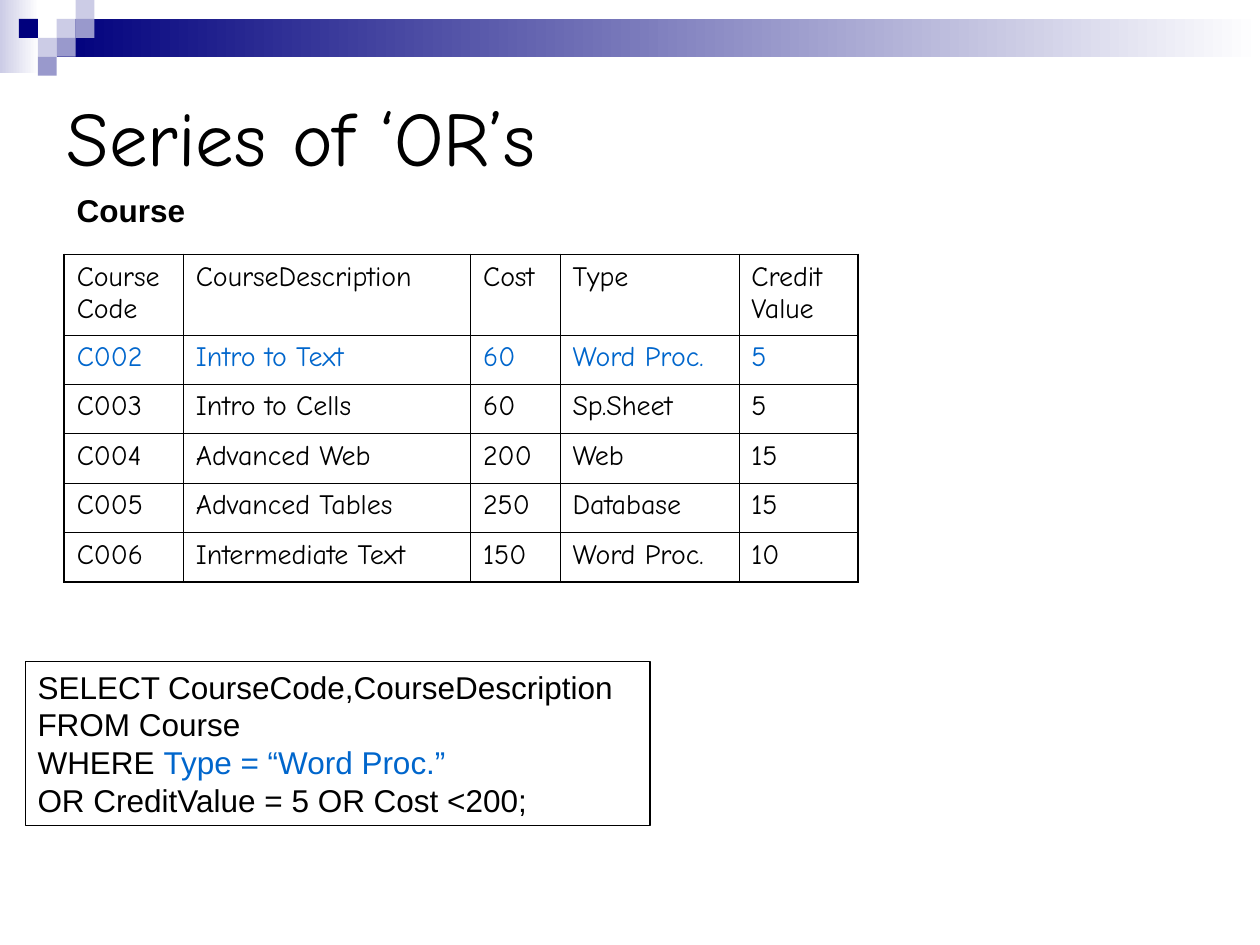
from dataclasses import dataclass

from lxml.etree import SubElement
from pptx import Presentation
from pptx.dml.color import RGBColor
from pptx.enum.shapes import MSO_SHAPE
from pptx.enum.text import MSO_ANCHOR, MSO_AUTO_SIZE, PP_ALIGN
from pptx.oxml.ns import qn
from pptx.util import Inches, Pt


@dataclass(frozen=True)
class Theme:
    """Colours, fonts, type sizes and line widths of the deck."""
    ink: str = "000000"
    accent: str = "0066CC"
    paper: str = "FFFFFF"
    navy: str = "00007D"
    lilac: str = "CCCCE6"
    violet: str = "9999CC"
    display: str = "Comic Neue"
    body: str = "Arial"
    title_size: float = 44
    cell_size: float = 16
    body_size: float = 18
    thin: float = 0.45
    frame: float = 0.75
    thick: float = 1.08


@dataclass(frozen=True)
class Box:
    """A region measured in columns and rows of the page grid."""
    left: float
    top: float
    width: float
    height: float

    def lengths(self):
        """Return left, top, width and height as slide lengths."""
        return [grid(value) for value in (self.left, self.top, self.width, self.height)]


THEME = Theme()
COLUMNS, ROWS = 100, 75
TILE = 1.5
TILES = [
    (3, 1, THEME.lilac), (4, 0, THEME.lilac), (4, 1, THEME.violet),
    (2, 2, THEME.lilac), (1, 1, THEME.navy), (3, 2, THEME.violet),
    (2, 3, THEME.violet),
]
COURSE_COLUMNS = [9.45, 22.8, 7.1, 14.2, 9.45]
COURSE_ROWS = [6.4] + [3.93] * 5
COURSES = [
    ["Course Code", "CourseDescription", "Cost", "Type", "Credit Value"],
    ["C002", "Intro to Text", "60", "Word Proc.", "5"],
    ["C003", "Intro to Cells", "60", "Sp.Sheet", "5"],
    ["C004", "Advanced Web", "200", "Web", "15"],
    ["C005", "Advanced Tables", "250", "Database", "15"],
    ["C006", "Intermediate Text", "150", "Word Proc.", "10"],
]
HIGHLIGHTED_ROW = 1
QUERY = [
    [("SELECT CourseCode,CourseDescription", THEME.ink)],
    [("FROM Course", THEME.ink)],
    [("WHERE ", THEME.ink), ("Type = “Word Proc.”", THEME.accent)],
    [("OR CreditValue = 5 OR Cost <200;", THEME.ink)],
]


def grid(units):
    """Convert grid units to a slide length."""
    return Inches(units * 10 / COLUMNS)


def colour(value):
    """Convert a hexadecimal string to a colour."""
    return RGBColor.from_string(value)


def add_text(para, text, font=THEME.body, size=THEME.body_size, fill=THEME.ink, bold=False):
    """Append a formatted span to a left-aligned paragraph."""
    para.alignment = PP_ALIGN.LEFT
    span = para.add_run()
    span.text = text
    span.font.name = font
    span.font.size = Pt(size)
    span.font.bold = bold
    span.font.color.rgb = colour(fill)


def add_block(page, box, *fills):
    """Draw a plain rectangle with one solid fill or a two-colour gradient."""
    block = page.shapes.add_shape(MSO_SHAPE.RECTANGLE, *box.lengths())
    block.shadow.inherit = False
    block.line.fill.background()
    if len(fills) == 1:
        block.fill.solid()
        block.fill.fore_color.rgb = colour(fills[0])
    else:
        block.fill.gradient()
        block.fill.gradient_angle = 0
        for stop, fill in zip(block.fill.gradient_stops, fills):
            stop.color.rgb = colour(fill)


def add_banner(page, box):
    """Draw the fading bands and the mosaic of tiles along the top."""
    start = box.left + 3 * TILE
    add_block(page, Box(box.left, box.top, 3.1, 5.8), THEME.lilac, THEME.paper)
    add_block(page, Box(start, box.top + TILE, box.width - 3 * TILE, 2 * TILE),
              THEME.navy, THEME.paper)
    for column, row, fill in TILES:
        add_block(page, Box(box.left + column * TILE, box.top + row * TILE, TILE, TILE), fill)


def add_title(page, box, text):
    """Place and format the title placeholder."""
    title = page.shapes.title
    title.left, title.top, title.width, title.height = box.lengths()
    frame = title.text_frame
    frame.auto_size = MSO_AUTO_SIZE.NONE
    frame.word_wrap = True
    frame.vertical_anchor = MSO_ANCHOR.MIDDLE
    add_text(frame.paragraphs[0], text, font=THEME.display, size=THEME.title_size)


def add_caption(page, box, text):
    """Write the bold name of the table."""
    frame = page.shapes.add_textbox(*box.lengths()).text_frame
    frame.word_wrap = True
    add_text(frame.paragraphs[0], text, bold=True)


def set_borders(cell, widths):
    """Draw the cell edges, given a width for each edge tag."""
    properties = cell._tc.get_or_add_tcPr()
    for edge, width in widths.items():
        line = SubElement(properties, qn(f"a:{edge}"), w=str(int(Pt(width))))
        solid = SubElement(line, qn("a:solidFill"))
        SubElement(solid, qn("a:srgbClr"), val=THEME.ink)


def add_courses(page, box):
    """Build the course table with a thick outline and thin inner rules."""
    last_row, last_column = len(COURSES) - 1, len(COURSE_COLUMNS) - 1
    table = page.shapes.add_table(last_row + 1, last_column + 1, *box.lengths()).table
    table.first_row = table.horz_banding = False
    for column, share in zip(table.columns, COURSE_COLUMNS):
        column.width = grid(box.width * share / sum(COURSE_COLUMNS))
    for row, share in zip(table.rows, COURSE_ROWS):
        row.height = grid(box.height * share / sum(COURSE_ROWS))
    for row, values in enumerate(COURSES):
        for column, value in enumerate(values):
            cell = table.cell(row, column)
            outer = {"lnL": column == 0, "lnR": column == last_column,
                     "lnT": row == 0, "lnB": row == last_row}
            set_borders(cell, {edge: THEME.thick if is_outer else THEME.thin
                               for edge, is_outer in outer.items()})
            cell.fill.solid()
            cell.fill.fore_color.rgb = colour(THEME.paper)
            add_text(cell.text_frame.paragraphs[0], value,
                     font=THEME.display, size=THEME.cell_size,
                     fill=THEME.accent if row == HIGHLIGHTED_ROW else THEME.ink)


def add_query(page, box):
    """Write the query in a framed box."""
    panel = page.shapes.add_shape(MSO_SHAPE.RECTANGLE, *box.lengths())
    panel.shadow.inherit = False
    panel.fill.background()
    panel.line.color.rgb = colour(THEME.ink)
    panel.line.width = Pt(THEME.frame)
    frame = panel.text_frame
    frame.word_wrap = True
    frame.auto_size = MSO_AUTO_SIZE.SHAPE_TO_FIT_TEXT
    frame.vertical_anchor = MSO_ANCHOR.TOP
    for index, spans in enumerate(QUERY):
        para = frame.add_paragraph() if index else frame.paragraphs[0]
        for text, fill in spans:
            add_text(para, text, fill=fill)


def main():
    """Build the deck and save it."""
    deck = Presentation()
    deck.slide_width, deck.slide_height = grid(COLUMNS), grid(ROWS)
    page = deck.slides.add_slide(deck.slide_layouts.get_by_name("Title Only"))
    add_banner(page, Box(0, 0, COLUMNS, 6))
    add_title(page, Box(4.3, 5.2, 90, 11.2), "Series of ‘OR’s")
    add_courses(page, Box(5.1, 20.2, 63, 26))
    add_query(page, Box(2, 52.5, 49.6, 13))
    add_caption(page, Box(5.1, 14.7, 29.1, 4), "Course")
    deck.save("out.pptx")


if __name__ == "__main__":
    main()
